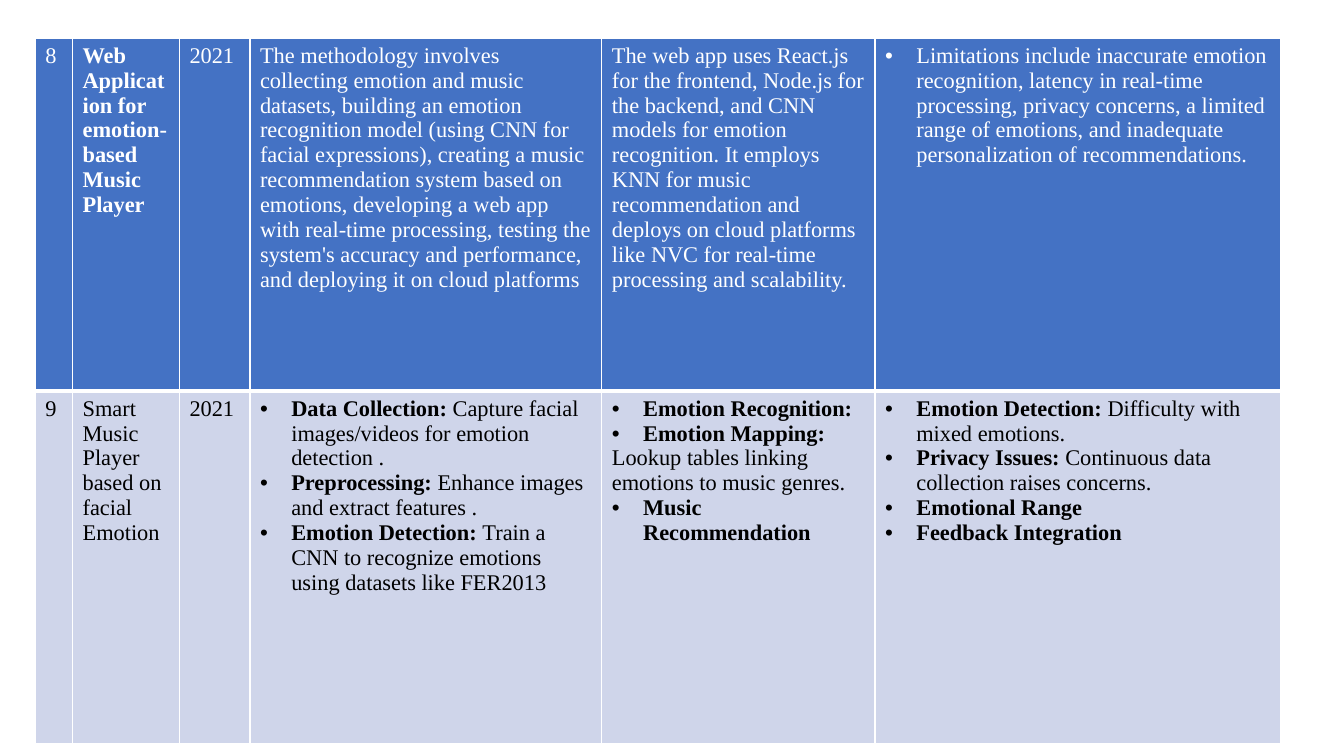
from dataclasses import dataclass

from lxml import etree
from pptx import Presentation
from pptx import util as u
from pptx.dml.color import RGBColor
from pptx.oxml import ns


@dataclass(frozen=True)
class Theme:
    font: str = "Times New Roman"
    size: int = 16
    head_fill: str = "4472C4"
    head_text: str = "FFFFFF"
    body_fill: str = "CFD5EA"
    body_text: str = "000000"
    border: str = "FFFFFF"
    thin: int = 1
    thick: int = 3
    hang: float = 0.31


THEME = Theme()
SLIDE_WIDTH, SLIDE_HEIGHT = 13.33, 7.5
LEFT, TOP = 0.35, 0.38
COLUMNS = [0.37, 1.06, 0.7, 3.49, 2.71, 4.02]
ROW_HEIGHT = 3.5

PLAIN, BULLET = False, True

WEB_PLAYER = [
    [(PLAIN, "", "8")],
    [(PLAIN, "Web Application for emotion-based Music Player", "")],
    [(PLAIN, "", "2021")],
    [(PLAIN, "", "The methodology involves collecting emotion and music datasets, "
      "building an emotion recognition model (using CNN for facial expressions), "
      "creating a music recommendation system based on emotions, developing a web app "
      "with real-time processing, testing the system's accuracy and performance, "
      "and deploying it on cloud platforms")],
    [(PLAIN, "", "The web app uses React.js for the frontend, Node.js for the backend, "
      "and CNN models for emotion recognition. It employs KNN for music recommendation "
      "and deploys on cloud platforms like NVC for real-time processing and scalability.")],
    [(BULLET, "", "Limitations include inaccurate emotion recognition, latency in "
      "real-time processing, privacy concerns, a limited range of emotions, "
      "and inadequate personalization of recommendations.")],
]

SMART_PLAYER = [
    [(PLAIN, "", "9")],
    [(PLAIN, "", "Smart Music Player based on facial Emotion")],
    [(PLAIN, "", "2021")],
    [(BULLET, "Data Collection: ", "Capture facial images/videos for emotion detection ."),
     (BULLET, "Preprocessing: ", "Enhance images and extract features ."),
     (BULLET, "Emotion Detection: ",
      "Train a CNN to recognize emotions using datasets like FER2013")],
    [(BULLET, "Emotion Recognition:", ""),
     (BULLET, "Emotion Mapping:", ""),
     (PLAIN, "", "Lookup tables linking emotions to music genres."),
     (BULLET, "Music Recommendation", "")],
    [(BULLET, "Emotion Detection: ", "Difficulty with mixed emotions."),
     (BULLET, "Privacy Issues: ", "Continuous data collection raises concerns."),
     (BULLET, "Emotional Range", ""),
     (BULLET, "Feedback Integration", "")],
]


def add_text(para, words, *, color, bold=False):
    span = para.add_run()
    span.text = words
    span.font.name = THEME.font
    span.font.size = u.Pt(THEME.size)
    span.font.bold = bold
    span.font.color.rgb = RGBColor.from_string(color)


def add_bullet(para):
    props = para._p.get_or_add_pPr()
    hang = u.Inches(THEME.hang)
    props.set("marL", str(hang))
    props.set("indent", str(-hang))
    etree.SubElement(props, ns.qn("a:buFont")).set("typeface", "Arial")
    etree.SubElement(props, ns.qn("a:buChar")).set("char", "•")


def set_borders(cell, *, top, bottom):
    props = cell._tc.get_or_add_tcPr()
    widths = {"lnL": THEME.thin, "lnR": THEME.thin, "lnT": top, "lnB": bottom}
    for side, width in widths.items():
        line = etree.SubElement(props, ns.qn(f"a:{side}"), w=str(u.Pt(width)))
        fill = etree.SubElement(line, ns.qn("a:solidFill"))
        etree.SubElement(fill, ns.qn("a:srgbClr")).set("val", THEME.border)


def fill_cell(cell, paragraphs, *, fill, color, top, bottom):
    set_borders(cell, top=top, bottom=bottom)
    cell.fill.solid()
    cell.fill.fore_color.rgb = RGBColor.from_string(fill)
    frame = cell.text_frame
    for index, (bulleted, strong, normal) in enumerate(paragraphs):
        para = frame.add_paragraph() if index else frame.paragraphs[0]
        if bulleted:
            add_bullet(para)
        for words, bold in ((strong, True), (normal, False)):
            if words:
                add_text(para, words, color=color, bold=bold)


def fill_row(table, row, contents, **style):
    table.rows[row].height = u.Inches(ROW_HEIGHT)
    for column, paragraphs in enumerate(contents):
        fill_cell(table.cell(row, column), paragraphs, **style)


def add_survey_table(page):
    table = page.shapes.add_table(
        2, len(COLUMNS), u.Inches(LEFT), u.Inches(TOP),
        u.Inches(sum(COLUMNS)), u.Inches(2 * ROW_HEIGHT)).table
    table.first_row = table.horz_banding = False
    for column, width in zip(table.columns, COLUMNS):
        column.width = u.Inches(width)
    fill_row(table, 0, WEB_PLAYER, fill=THEME.head_fill, color=THEME.head_text,
             top=THEME.thin, bottom=THEME.thick)
    fill_row(table, 1, SMART_PLAYER, fill=THEME.body_fill, color=THEME.body_text,
             top=THEME.thick, bottom=THEME.thin)


def main():
    deck = Presentation()
    deck.slide_width = u.Inches(SLIDE_WIDTH)
    deck.slide_height = u.Inches(SLIDE_HEIGHT)
    page = deck.slides.add_slide(deck.slide_layouts.get_by_name("Blank"))
    add_survey_table(page)
    deck.save("out.pptx")


if __name__ == "__main__":
    main()
